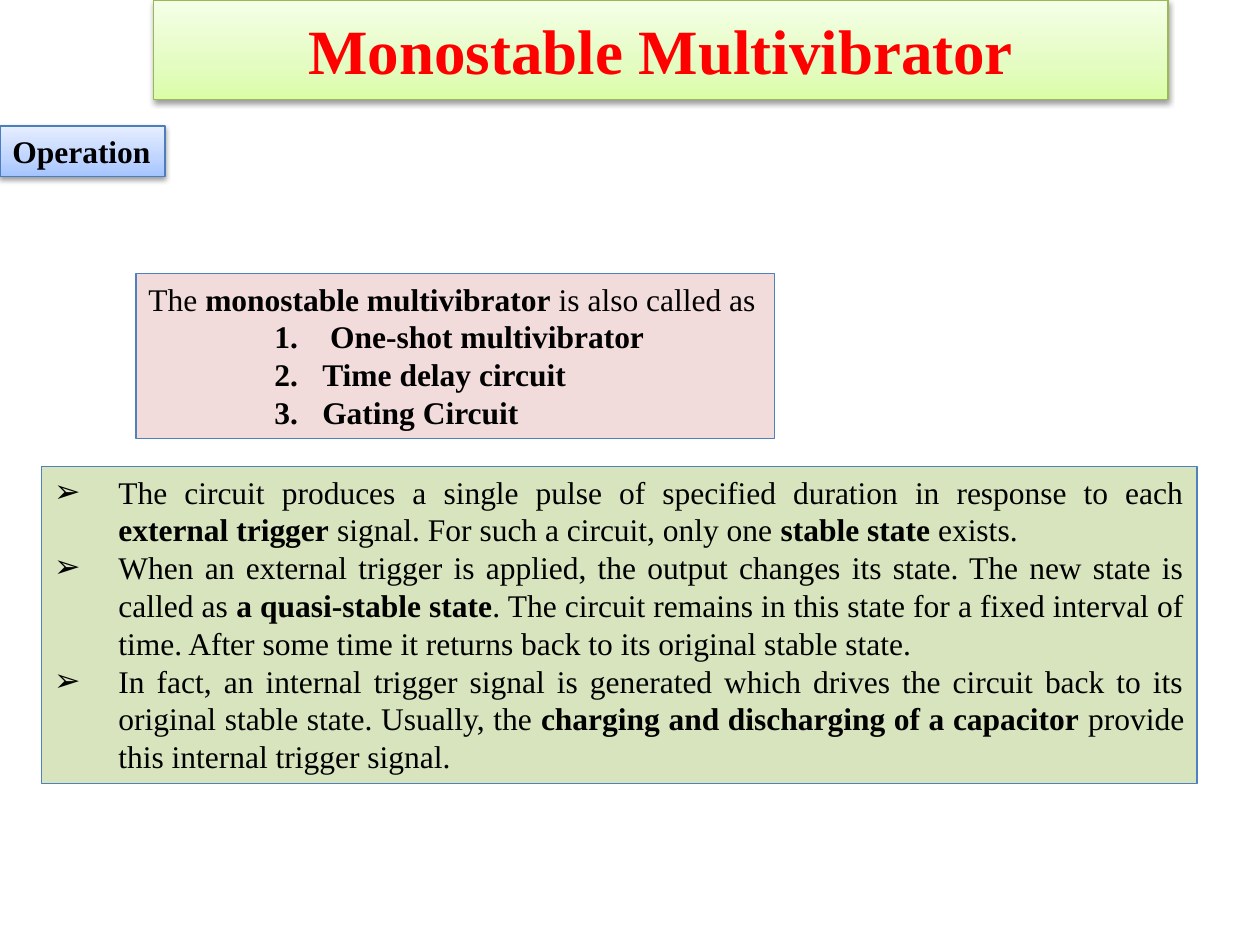
"""Build the Monostable Multivibrator operation slide."""
from lxml import etree
from pptx import Presentation
from pptx.dml.color import RGBColor
from pptx.enum.text import MSO_ANCHOR, MSO_AUTO_SIZE, PP_ALIGN
from pptx.oxml import parse_xml
from pptx.oxml.ns import nsdecls, qn
from pptx.util import Inches, Pt

LEFT, CENTER, JUSTIFY = PP_ALIGN.LEFT, PP_ALIGN.CENTER, PP_ALIGN.JUSTIFY
TOP, MIDDLE = MSO_ANCHOR.TOP, MSO_ANCHOR.MIDDLE
GROW, FIXED = MSO_AUTO_SIZE.SHAPE_TO_FIT_TEXT, MSO_AUTO_SIZE.NONE
NUMBER = ("buAutoNum", {"type": "arabicPeriod"})
ARROW = ("buChar", {"char": "➢"})
SHADOW = (
    f'<a:effectLst {nsdecls("a")}>'
    '<a:outerShdw blurRad="40000" dist="20000" dir="5400000" rotWithShape="0">'
    '<a:srgbClr val="000000"><a:alpha val="38000"/></a:srgbClr>'
    '</a:outerShdw></a:effectLst>'
)


def color(hex_code):
    return RGBColor.from_string(hex_code)


def write(paragraph, text, align, size, ink, indent=0, hanging=0, bullet=None):
    """Fill a paragraph; asterisks enclose bold words."""
    layout = {"alignment": align, "space_before": Pt(0)}
    for key, value in layout.items():
        setattr(paragraph, key, value)
    for position, words in enumerate(text.split("*")):
        if not words:
            continue
        run = paragraph.add_run()
        run.text = words
        style = {"name": "Times New Roman", "size": Pt(size), "bold": position % 2 == 1}
        for key, value in style.items():
            setattr(run.font, key, value)
        run.font.color.rgb = color(ink)
    if bullet:
        tag, attributes = bullet
        properties = paragraph._p.get_or_add_pPr()
        properties.set("marL", str(Inches(indent)))
        properties.set("indent", str(Inches(-hanging)))
        etree.SubElement(properties, qn(f"a:{tag}"), attributes)


deck = Presentation()
deck.slide_width, deck.slide_height = Inches(10), Inches(7.5)
slide = deck.slides.add_slide(deck.slide_layouts[1])
heading, explanation = slide.placeholders
operation = slide.shapes.add_textbox(0, 0, 0, 0)
other_names = slide.shapes.add_textbox(0, 0, 0, 0)

panels = [
    (heading, (1.22, 0, 8.05, 0.79), ("DAFDA7", "E4FCC2", "F5FFE7"), "98B955",
     {"vertical_anchor": MIDDLE, "auto_size": FIXED, "word_wrap": True}),
    (operation, (0, 1, 1.31, 0.4), ("A4C4FF", "BFD4FF", "E6EEFF"), "4B7EBC",
     {"vertical_anchor": TOP, "auto_size": GROW, "word_wrap": False}),
    (other_names, (1.08, 2.17, 5.07, 1.31), ("F2DCDB",), "4F81BD",
     {"vertical_anchor": TOP, "auto_size": GROW, "word_wrap": True}),
    (explanation, (0.33, 3.7, 9.17, 2.52), ("D7E4BD",), "4F81BD",
     {"vertical_anchor": TOP, "auto_size": FIXED, "word_wrap": True}),
]
for panel, bounds, shades, border, frame in panels:
    for side, length in zip(("left", "top", "width", "height"), bounds):
        setattr(panel, side, Inches(length))
    for key, value in frame.items():
        setattr(panel.text_frame, key, value)
    panel.line.color.rgb = color(border)
    panel.line.width = Pt(0.75)
    if len(shades) == 1:
        panel.fill.solid()
        panel.fill.fore_color.rgb = color(shades[0])
        continue
    panel.fill.gradient()
    panel.fill.gradient_angle = 90
    stops = panel._element.spPr.find(qn("a:gradFill")).find(qn("a:gsLst"))
    stops.clear()
    for share, shade in zip((0, 35, 100), shades):
        stop = etree.SubElement(stops, qn("a:gs"), pos=str(share * 1000))
        etree.SubElement(stop, qn("a:srgbClr"), val=shade)
    panel._element.spPr.append(parse_xml(SHADOW))

numbered = {"indent": 1.38, "hanging": 0.38, "bullet": NUMBER}
arrowed = {"indent": 0.51, "hanging": 0.51, "bullet": ARROW}
contents = [
    (heading, CENTER, 36, "FF0000", [("*Monostable Multivibrator*", {})]),
    (operation, LEFT, 18, "000000", [("*Operation*", {})]),
    (other_names, LEFT, 18, "000000", [
        ("The *monostable multivibrator* is also called as", {}),
        ("* One-shot multivibrator*", numbered),
        ("*Time delay circuit*", numbered),
        ("*Gating Circuit*", numbered),
    ]),
    (explanation, JUSTIFY, 18, "000000", [
        ("The circuit produces a single pulse of specified duration in response to each "
         "*external trigger* signal. For such a circuit, only one *stable state* exists. ", arrowed),
        ("When an external trigger is applied, the output changes its state. The new state is "
         "called as *a quasi-stable state*. The circuit remains in this state for a fixed interval "
         "of time. After some time it returns back to its original stable state. ", arrowed),
        ("In fact, an internal trigger signal is generated which drives the circuit back to its "
         "original stable state. Usually, the* charging and discharging of a capacitor* provide "
         "this internal trigger signal.", arrowed),
    ]),
]
for panel, align, size, ink, lines in contents:
    frame = panel.text_frame
    for position, (text, listing) in enumerate(lines):
        paragraph = frame.add_paragraph() if position else frame.paragraphs[0]
        write(paragraph, text, align, size, ink, **listing)

deck.save("out.pptx")
